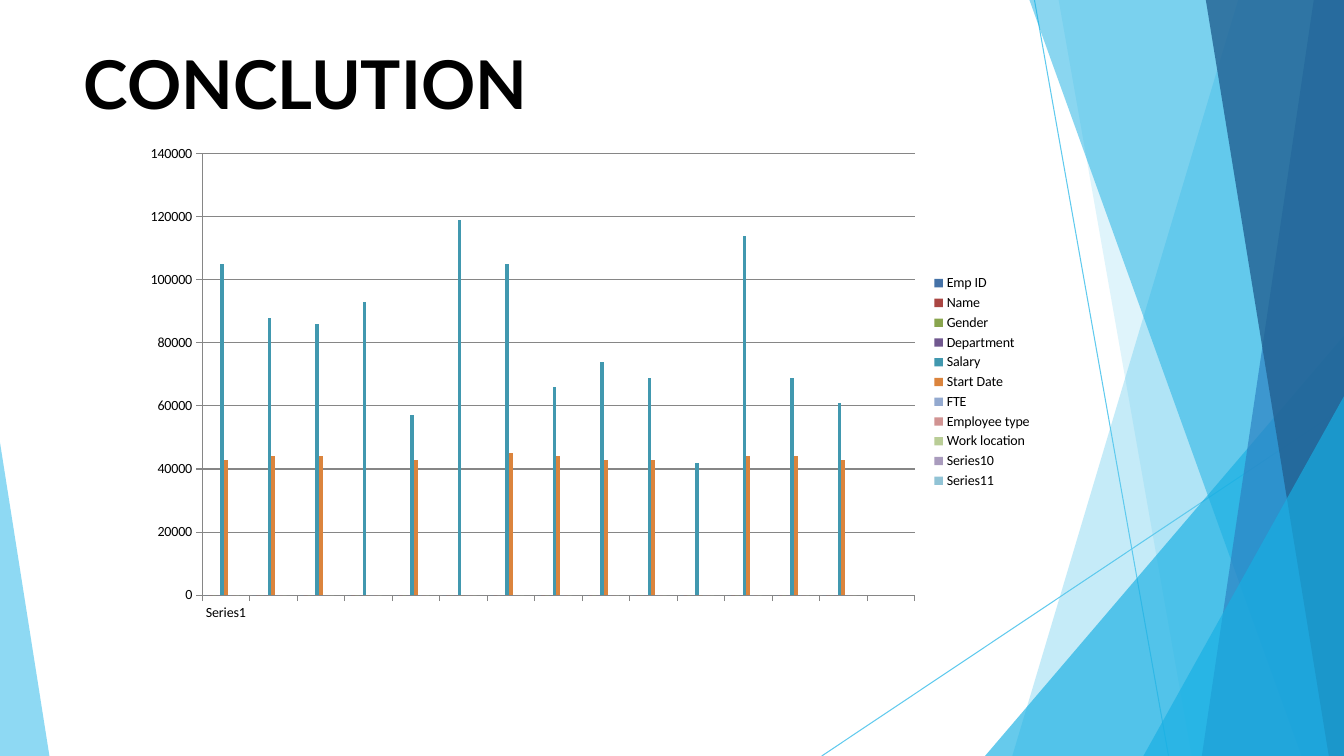
import pptx
import pptx.chart.data
import pptx.dml.color
import pptx.enum.chart
import pptx.enum.shapes
import pptx.enum.text
import pptx.oxml
import pptx.oxml.ns
import pptx.util
from lxml import etree

Inches = pptx.util.Inches
Pt = pptx.util.Pt
RGB = pptx.dml.color.RGBColor.from_string
qn = pptx.oxml.ns.qn

THEME = {
    "text": "000000", "axis": "868686", "sky": "5FCAEE", "cyan": "17AFE3",
    "blue": "2D83C3", "navy": "226192",
    "title_font": "Lato", "chart_font": "Calibri",
    "title_size": 48, "chart_size": 10, "ray_width": 0.75,
}
W, H = 13.33, 7.5

prs = pptx.Presentation()
prs.slide_width, prs.slide_height = Inches(W), Inches(H)
s = prs.slides.add_slide(prs.slide_layouts[5])

for x1, y1, x2, y2 in [(10.26, 0, 11.59, H), (W, 4.04, 8.15, H)]:
    ray = s.shapes.add_connector(
        pptx.enum.shapes.MSO_CONNECTOR.STRAIGHT,
        Inches(x1), Inches(y1), Inches(x2), Inches(y2))
    ray.line.color.rgb = RGB(THEME["sky"])
    ray.line.width = Pt(THEME["ray_width"])
    etree.SubElement(ray._element.spPr, qn("a:effectLst"))

facets = [
    ("sky", 36, [(W, 0), (12.28, 0), (10.04, H), (W, H)]),
    ("sky", 20, [(W, 0), (10.5, 0), (11.82, H), (W, H)]),
    ("cyan", 66, [(W, 3.33), (9.77, H), (W, H)]),
    ("cyan", 50, [(W, 0), (10.21, 0), (12.91, H), (W, H)]),
    ("blue", 70, [(W, 0), (13.03, 0), (11.92, H), (W, H)]),
    ("navy", 80, [(W, 0), (11.96, 0), (13.18, H), (W, H)]),
    ("cyan", 66, [(W, 3.93), (11.34, H), (W, H)]),
    ("sky", 70, [(0, 4.39), (0, H), (0.49, H)]),
]
for color, opacity, corners in facets:
    pts = [(Inches(x), Inches(y)) for x, y in corners]
    fb = s.shapes.build_freeform(*pts[0])
    fb.add_line_segments(pts[1:], close=True)
    sp = fb.convert_to_shape()
    sp.shadow.inherit = False
    sp.line.fill.background()
    sp.fill.solid()
    sp.fill.fore_color.rgb = RGB(THEME[color])
    srgb = sp._element.spPr.find(qn("a:solidFill")).find(qn("a:srgbClr"))
    etree.SubElement(srgb, qn("a:alpha"), val=str(opacity * 1000))

title = s.shapes.title
title.left, title.top = Inches(0.83), Inches(0.42)
title.width, title.height = Inches(11.68), Inches(0.83)
tf = title.text_frame
frame_format = {
    "margin_left": 0, "margin_top": 0, "margin_right": 0, "margin_bottom": 0,
    "word_wrap": True, "auto_size": pptx.enum.text.MSO_AUTO_SIZE.NONE,
    "vertical_anchor": pptx.enum.text.MSO_ANCHOR.TOP,
}
for name, value in frame_format.items():
    setattr(tf, name, value)
p = tf.paragraphs[0]
p.alignment = pptx.enum.text.PP_ALIGN.LEFT
r = p.add_run()
r.text = "CONCLUTION"
title_format = {"name": THEME["title_font"], "size": Pt(THEME["title_size"]), "bold": True}
for name, value in title_format.items():
    setattr(r.font, name, value)
r.font.color.rgb = RGB(THEME["text"])

zeros = [0] * 14 + [None]
blanks = [None] * 15
series = [
    ("Emp ID", "4572A7", zeros),
    ("Name", "AA4643", zeros),
    ("Gender", "89A54E", [0] * 6 + [None] + [0] * 7 + [None]),
    ("Department", "71588F", zeros),
    ("Salary", "4198AF", [105000, 88000, 86000, 93000, 57000, 119000, 105000, 66000,
                          74000, 69000, 42000, 114000, 69000, 61000, None]),
    ("Start Date", "DB843D", [43000, 44000, 44000, 0, 43000, 0, 45000, 44000,
                              43000, 43000, 0, 44000, 44000, 43000, None]),
    ("FTE", "93A9CF", zeros),
    ("Employee type", "D19392", zeros),
    ("Work location", "B9CD96", zeros),
    ("Series10", "A99BBD", blanks),
    ("Series11", "91C3D5", blanks),
]
cd = pptx.chart.data.CategoryChartData()
cd.categories = ["Series1"] + [""] * 14
for name, color, values in series:
    cd.add_series(name, values)
chart = s.shapes.add_chart(
    pptx.enum.chart.XL_CHART_TYPE.COLUMN_CLUSTERED,
    Inches(1.28), Inches(1.33), Inches(9.06), Inches(4.92), cd).chart
chart.has_title = False
chart.font.name = THEME["chart_font"]
chart.font.size = Pt(THEME["chart_size"])
chart.font.color.rgb = RGB(THEME["text"])
chart.has_legend = True
chart.legend.position = pptx.enum.chart.XL_LEGEND_POSITION.RIGHT
chart.legend.include_in_layout = False

plot = chart.plots[0]
for name, value in {"gap_width": 150, "overlap": 0, "vary_by_categories": False}.items():
    setattr(plot, name, value)
for ser, (name, color, values) in zip(plot.series, series):
    ser.format.fill.solid()
    ser.format.fill.fore_color.rgb = RGB(color)

value_axis = chart.value_axis
axis_format = {"minimum_scale": 0, "maximum_scale": 140000, "major_unit": 20000,
               "has_major_gridlines": True}
for name, value in axis_format.items():
    setattr(value_axis, name, value)
for axis in (chart.category_axis, value_axis):
    axis.major_tick_mark = pptx.enum.chart.XL_TICK_MARK.OUTSIDE
    axis.format.line.color.rgb = RGB(THEME["axis"])
value_axis.major_gridlines.format.line.color.rgb = RGB(THEME["axis"])

plot_area = chart._chartSpace.chart.plotArea
layout = plot_area.find(qn("c:layout"))
if layout is None:
    layout = etree.Element(qn("c:layout"))
    plot_area.insert(0, layout)
manual = etree.SubElement(layout, qn("c:manualLayout"))
plot_layout = {"layoutTarget": "inner", "xMode": "edge", "yMode": "edge",
               "x": 0.08, "y": 0.04, "w": 0.78, "h": 0.89}
for name, value in plot_layout.items():
    etree.SubElement(manual, qn("c:" + name), val=str(value))

prs.save("out.pptx")
